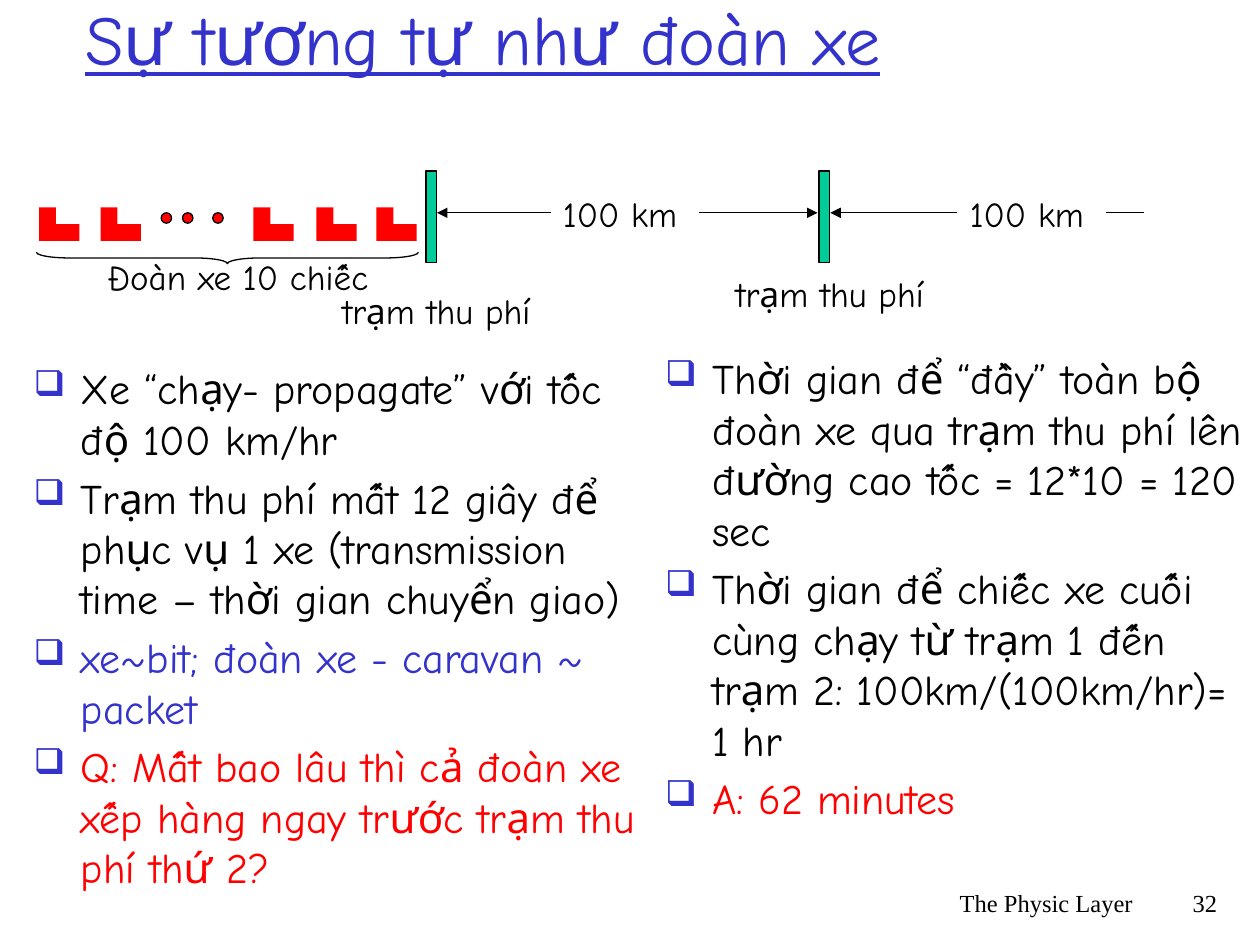
from typing import NamedTuple

from lxml.etree import SubElement
from pptx import Presentation
from pptx.dml.color import RGBColor
from pptx.enum.shapes import MSO_CONNECTOR as Link, MSO_SHAPE as Kind
from pptx.enum.text import MSO_ANCHOR as Anchor, MSO_AUTO_SIZE as Fit, PP_ALIGN as Align
from pptx.oxml.ns import qn
from pptx.util import Cm, Pt

BLACK = RGBColor(0x00, 0x00, 0x00)
BLUE = RGBColor(0x33, 0x33, 0xCC)
RED = RGBColor(0xFF, 0x00, 0x00)
GREEN = RGBColor(0x00, 0xCC, 0x99)
COMIC = "Comic Neue"
TIMES = "Times New Roman"
THIN = Pt(0.75)
ROAD = 4.29


class Box(NamedTuple):
    left: float
    top: float
    width: float
    height: float


class Style(NamedTuple):
    size: int
    color: RGBColor = BLACK
    font: str = COMIC
    under: bool = False


class Item(NamedTuple):
    text: str
    color: RGBColor = BLACK


class Booth(NamedTuple):
    left: float
    label: Box


class Road(NamedTuple):
    start: float
    end: float
    arrow: bool = True


LABEL = Style(20)
FOOT = Style(14, font=TIMES)

LEFT = [
    Item("Xe “chạy- propagate” với tốc độ 100 km/hr"),
    Item("Trạm thu phí mất 12 giây để phục vụ 1 xe (transmission time – thời gian chuyển giao)"),
    Item("xe~bit; đoàn xe - caravan ~ packet", BLUE),
    Item("Q: Mất bao lâu thì cả đoàn xe xếp hàng ngay trước trạm thu phí thứ 2?", RED),
]
RIGHT = [
    Item("Thời gian để “đầy” toàn bộ đoàn xe qua trạm thu phí lên đường cao tốc = 12*10 = 120 sec"),
    Item("Thời gian để chiếc xe cuối cùng chạy từ trạm 1 đến trạm 2: 100km/(100km/hr)= 1 hr"),
    Item("A: 62 minutes", RED),
]
BOOTHS = [
    Booth(16.51, Box(14.43, 5.36, 4.6, 1.12)),
    Booth(8.59, Box(6.5, 5.72, 4.6, 1.12)),
]
CARS = [0.79, 2.03, 5.11, 6.38, 7.59]
DOTS = [3.25, 3.68, 4.29]
ROADS = [Road(11.1, 8.81), Road(14.1, 16.48), Road(19.3, 16.74), Road(22.3, 23.06, False)]
SPANS = [11.1, 19.3]


def place(box: Box) -> list[Cm]:
    return [Cm(side) for side in box]


def add_run(para, text: str, style: Style) -> None:
    run = para.add_run()
    run.text = text
    font = run.font
    font.size = Pt(style.size)
    font.name = style.font
    font.color.rgb = style.color
    if style.under:
        font.underline = True


def add_text(slide, box: Box, text: str, style: Style, align=Align.LEFT,
             wrap: bool = True, grow: bool = False, anchor=Anchor.TOP) -> None:
    frame = slide.shapes.add_textbox(*place(box)).text_frame
    frame.word_wrap = wrap
    frame.auto_size = Fit.SHAPE_TO_FIT_TEXT if grow else Fit.NONE
    frame.vertical_anchor = anchor
    para = frame.paragraphs[0]
    para.alignment = align
    add_run(para, text, style)


def add_mark(para) -> None:
    props = para._p.get_or_add_pPr()
    props.set("marL", str(Cm(0.95)))
    props.set("indent", str(-Cm(0.95)))
    tint = SubElement(props, qn("a:buClr"))
    SubElement(tint, qn("a:srgbClr"), val=str(BLUE))
    SubElement(props, qn("a:buSzPct"), val="85000")
    SubElement(props, qn("a:buChar"), char="❑")


def add_list(slide, box: Box, items: list[Item]) -> None:
    frame = slide.shapes.add_textbox(*place(box)).text_frame
    frame.word_wrap = True
    for index, item in enumerate(items):
        para = frame.add_paragraph() if index else frame.paragraphs[0]
        para.space_before = Pt(4.8)
        add_mark(para)
        add_run(para, item.text, Style(24, item.color))


def add_shape(slide, kind: Kind, box: Box, fill: RGBColor | None = None, edge: bool = True):
    shape = slide.shapes.add_shape(kind, *place(box))
    shape.shadow.inherit = False
    if fill is None:
        shape.fill.background()
    else:
        shape.fill.solid()
        shape.fill.fore_color.rgb = fill
    if edge:
        shape.line.color.rgb = BLACK
        shape.line.width = THIN
    else:
        shape.line.fill.background()
    return shape


def add_booth(slide, booth: Booth) -> None:
    add_shape(slide, Kind.RECTANGLE, Box(booth.left, 3.45, 0.21, 1.85), GREEN)
    add_text(slide, booth.label, "trạm thu phí", LABEL, Align.CENTER, wrap=False, grow=True)


def add_car(slide, left: float) -> None:
    for box in (Box(left, 4.52, 0.81, 0.34), Box(left, 4.18, 0.34, 0.34)):
        add_shape(slide, Kind.RECTANGLE, box, RED, edge=False)


def add_road(slide, road: Road) -> None:
    link = slide.shapes.add_connector(
        Link.STRAIGHT, Cm(road.start), Cm(ROAD), Cm(road.end), Cm(ROAD))
    link.line.color.rgb = BLACK
    link.line.width = THIN
    if road.arrow:
        SubElement(link.line._get_or_add_ln(), qn("a:tailEnd"), type="triangle")
    SubElement(link._element.spPr, qn("a:effectLst"))


def main() -> None:
    deck = Presentation()
    deck.slide_width, deck.slide_height = Cm(25.4), Cm(19.05)
    slide = deck.slides.add_slide(deck.slide_layouts[6])

    add_text(slide, Box(15.04, 17.78, 8.05, 1.27), "The Physic Layer", FOOT, Align.RIGHT)
    add_text(slide, Box(23.06, 17.78, 1.73, 1.27), "32", FOOT, Align.RIGHT)
    add_text(slide, Box(1.47, -0.84, 21.59, 3.18), "Sự tương tự như đoàn xe",
             Style(40, BLUE, under=True), anchor=Anchor.MIDDLE)
    add_list(slide, Box(0.43, 7.19, 12.7, 13.54), LEFT)
    add_list(slide, Box(13.16, 6.99, 12.24, 12.06), RIGHT)

    for booth in BOOTHS:
        add_booth(slide, booth)
    for left in CARS:
        add_car(slide, left)
    for left in DOTS:
        add_shape(slide, Kind.OVAL, Box(left, 4.29, 0.21, 0.21), RED)

    brace = add_shape(slide, Kind.LEFT_BRACE, Box(4.47, 1.35, 0.23, 7.7))
    brace.rotation = 270
    brace.adjustments[0] = 2.9
    add_text(slide, Box(1.91, 5.03, 5.99, 1.12), "Đoàn xe 10 chiếc", LABEL, wrap=False, grow=True)

    for road in ROADS:
        add_road(slide, road)
    for left in SPANS:
        add_text(slide, Box(left, 3.76, 3, 1.09), "100 km", LABEL, grow=True)

    deck.save("out.pptx")


if __name__ == "__main__":
    main()
